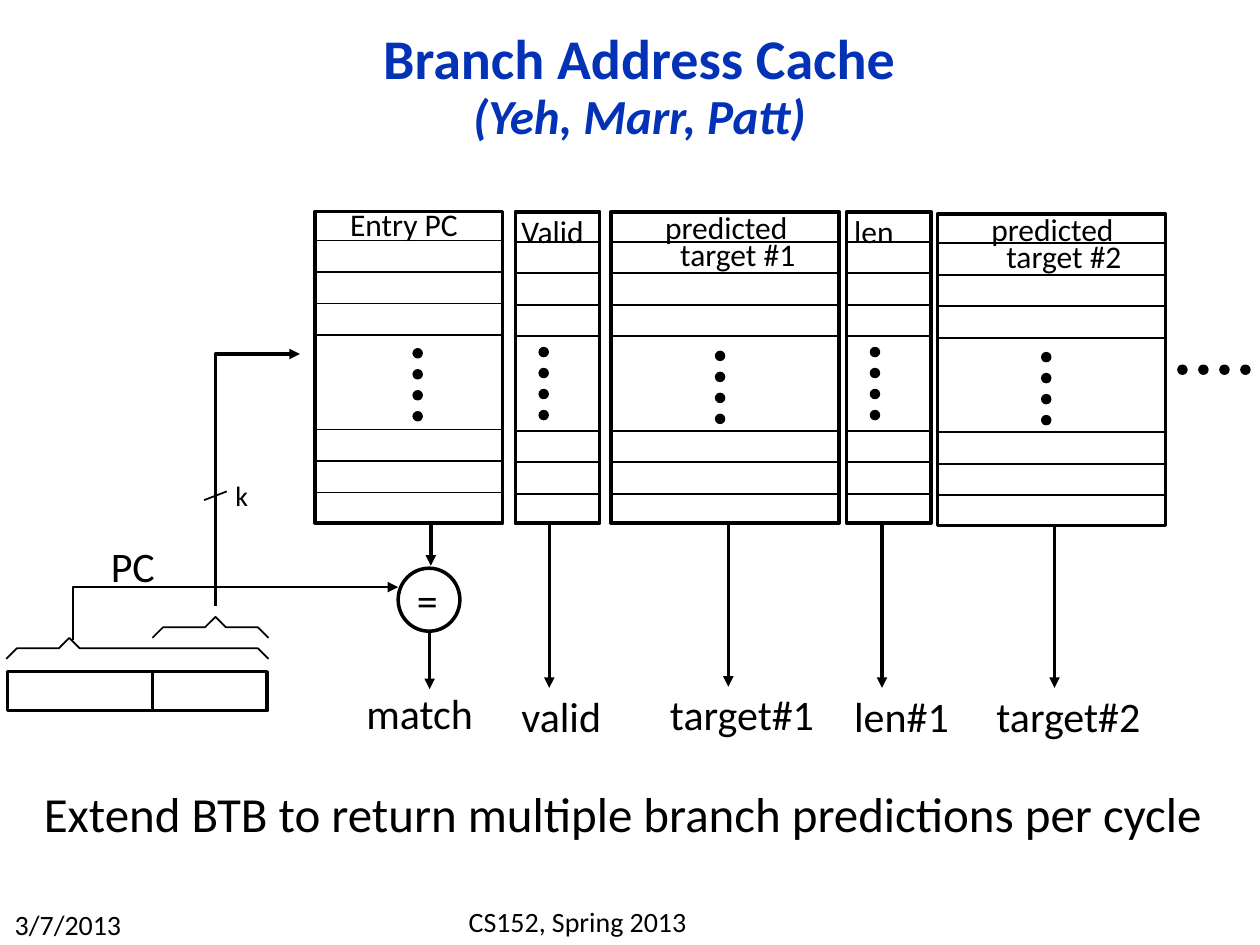
from dataclasses import dataclass

from lxml import etree
from pptx import Presentation
from pptx import util as u
from pptx.dml.color import RGBColor
from pptx.enum import shapes, text
from pptx.oxml.ns import qn


@dataclass(frozen=True)
class Theme:
    font: str = "Calibri"
    ink: RGBColor = RGBColor(0, 0, 0)
    paper: RGBColor = RGBColor(255, 255, 255)
    heading: RGBColor = RGBColor(0x03, 0x32, 0xB7)
    title: int = 32
    large: int = 28
    label: int = 24
    header: int = 18
    small: int = 16
    thick: float = 2
    medium: float = 1.5
    thin: float = 1


THEME = Theme()
ROW, DOT, DOT_GAP, COLUMN_HEIGHT = 18, 5, 12, 178
RULED_ROWS = (0, 1, 2, 3, 6, 7, 8)

# left, top, width, first rule, dots (left, top), arrow (x, from, to)
COLUMNS = [
    (180, 120.8, 107.3, 137.5, (236.2, 199.4), (246.2, 298.8, 323.3)),
    (294.5, 121, 48.2, 138.2, (308.2, 198.7), (313.9, 300.2, 393.1)),
    (349.2, 121, 130.3, 138.2, (409, 200.9), (416.2, 300.2, 392.4)),
    (483.8, 121, 48.2, 138.2, (497.5, 198.7), (504, 300.2, 393.1)),
    (535.7, 122.4, 130.3, 139, (595.4, 201.6), (602.6, 301, 393.1)),
]

# words, left, top, width, type size
LABELS = [
    ("Entry PC", 193, 113.8, 77, THEME.header),
    ("Valid", 290.9, 117.4, 51.1, THEME.header),
    ("predicted", 373, 115.2, 85.7, THEME.header),
    ("target #1", 381.6, 131, 81.4, THEME.header),
    ("len", 481, 117.4, 37.4, THEME.header),
    ("predicted", 559.4, 116.6, 85.7, THEME.header),
    ("target #2", 568, 131.8, 81.4, THEME.header),
    ("match", 202.3, 389.5, 76.3, THEME.label),
    ("valid", 290.9, 391, 60.5, THEME.label),
    ("target#1", 375.8, 390.2, 98.6, THEME.label),
    ("len#1", 481, 391, 69.1, THEME.label),
    ("target#2", 562.3, 391, 98.6, THEME.label),
    ("PC", 56.2, 305.3, 39.6, THEME.label),
    ("=", 231.1, 324.7, 26.6, THEME.label),
    ("k", 127.4, 270, 21.6, THEME.small),
]


def apply(target, values):
    for name, value in values.items():
        setattr(target, name, value)


def style_line(shape, weight, arrow=False):
    shape.line.color.rgb = THEME.ink
    shape.line.width = u.Pt(weight)
    if arrow:
        outline = shape.line._get_or_add_ln()
        etree.SubElement(outline, qn("a:tailEnd"), type="triangle")


def add_line(slide, start, end, weight, arrow=False):
    points = [u.Pt(value) for value in (*start, *end)]
    line = slide.shapes.add_connector(shapes.MSO_CONNECTOR.STRAIGHT, *points)
    style_line(line, weight, arrow)
    etree.SubElement(line._element.spPr, qn("a:effectLst"))


def add_path(slide, points, weight, arrow=False):
    corners = [(u.Pt(x), u.Pt(y)) for x, y in points]
    builder = slide.shapes.build_freeform(*corners[0])
    builder.add_line_segments(corners[1:], close=False)
    shape = builder.convert_to_shape()
    shape.fill.background()
    shape.shadow.inherit = False
    style_line(shape, weight, arrow)


def add_box(slide, kind, box, fill, weight):
    shape = slide.shapes.add_shape(kind, *(u.Pt(value) for value in box))
    shape.shadow.inherit = False
    shape.fill.solid()
    shape.fill.fore_color.rgb = fill
    style_line(shape, weight)


def add_text(slide, runs, box, wrap=False, color=THEME.ink,
             align=text.PP_ALIGN.LEFT, anchor=text.MSO_ANCHOR.TOP, spacing=None):
    """Each run is (words, format values); runs are parted by line breaks."""
    frame = slide.shapes.add_textbox(*(u.Pt(value) for value in box)).text_frame
    apply(frame, {"word_wrap": wrap, "vertical_anchor": anchor})
    paragraph = frame.paragraphs[0]
    apply(paragraph, {"alignment": align, "line_spacing": spacing})
    for index, (words, values) in enumerate(runs):
        if index:
            paragraph.add_line_break()
        run = paragraph.add_run()
        run.text = words
        apply(run.font, {"name": THEME.font, **values})
        run.font.color.rgb = color


def add_dots(slide, left, top, across=False):
    for index in range(4):
        step = index * DOT_GAP
        x, y = (left + step, top) if across else (left, top + step)
        add_box(slide, shapes.MSO_SHAPE.OVAL, (x, y, DOT, DOT), THEME.ink, THEME.thin)


def add_column(slide, left, top, width, first_rule, dots, arrow):
    add_box(slide, shapes.MSO_SHAPE.RECTANGLE, (left, top, width, COLUMN_HEIGHT),
            THEME.paper, THEME.thick)
    for row in RULED_ROWS:
        y = first_rule + row * ROW
        add_line(slide, (left, y), (left + width, y), THEME.thin)
    add_dots(slide, *dots)
    x, start, end = arrow
    add_line(slide, (x, start), (x, end), THEME.thick, arrow=True)


def add_brace(slide, left, right, bottom):
    middle, top = bottom - 6, bottom - 12
    add_path(slide, [(left, bottom), (left + 6, middle), (left + 30, middle),
                     (left + 36, top), (left + 42, middle),
                     (right - 6, middle), (right, bottom)], THEME.thin)


def main():
    presentation = Presentation()
    presentation.slide_width, presentation.slide_height = u.Pt(720), u.Pt(540)
    slide = presentation.slides.add_slide(presentation.slide_layouts[6])
    center = text.PP_ALIGN.CENTER

    # Title
    add_text(slide, [("Branch Address Cache", {"size": u.Pt(THEME.title), "bold": True}),
                     ("(Yeh, Marr, Patt)",
                      {"size": u.Pt(THEME.large), "bold": True, "italic": True})],
             (84.2, 13, 562.3, 74.9), wrap=True, color=THEME.heading, align=center,
             anchor=text.MSO_ANCHOR.MIDDLE, spacing=0.9)

    # Program counter register with its braces
    add_box(slide, shapes.MSO_SHAPE.RECTANGLE, (4.3, 383.8, 148.3, 22.3),
            THEME.paper, THEME.thick)
    add_line(slide, (87.1, 383.8), (87.1, 405.4), THEME.thick)
    add_brace(slide, 87.1, 153.4, 364.5)
    add_brace(slide, 3.6, 153.4, 376.5)

    # Index path, k bits wide
    add_path(slide, [(123.1, 346.3), (123.1, 202.3), (171.4, 202.3)],
             THEME.thick, arrow=True)
    add_line(slide, (129.6, 280.8), (116.6, 285.8), THEME.thin)

    # Cache columns
    for column in COLUMNS:
        add_column(slide, *column)
    add_dots(slide, 673.2, 208.8, across=True)

    # Tag comparison
    add_box(slide, shapes.MSO_SHAPE.OVAL, (227.5, 324.7, 35.3, 36),
            THEME.paper, THEME.thick)
    add_line(slide, (245.5, 361.4), (245.5, 393.8), THEME.thick, arrow=True)
    add_path(slide, [(41.8, 365.8), (41.8, 335.5), (227.5, 335.5)],
             THEME.medium, arrow=True)

    # Labels
    for words, left, top, width, size in LABELS:
        add_text(slide, [(words, {"size": u.Pt(size)})],
                 (left, top, width, size * 1.2 + 7.2))

    # Summary and footer
    add_text(slide, [("Extend BTB to return multiple branch predictions per cycle",
                      {"size": u.Pt(THEME.large)})], (18, 444.2, 686.2, 41), wrap=True)
    small = {"size": u.Pt(THEME.small)}
    add_text(slide, [("3/7/2013", small)], (0.7, 514.8, 76.3, 26.6), align=center)
    add_text(slide, [("CS152, Spring 2013", small)], (210.2, 513.4, 239.8, 26.6),
             wrap=True, align=center)

    presentation.save("out.pptx")


if __name__ == "__main__":
    main()
